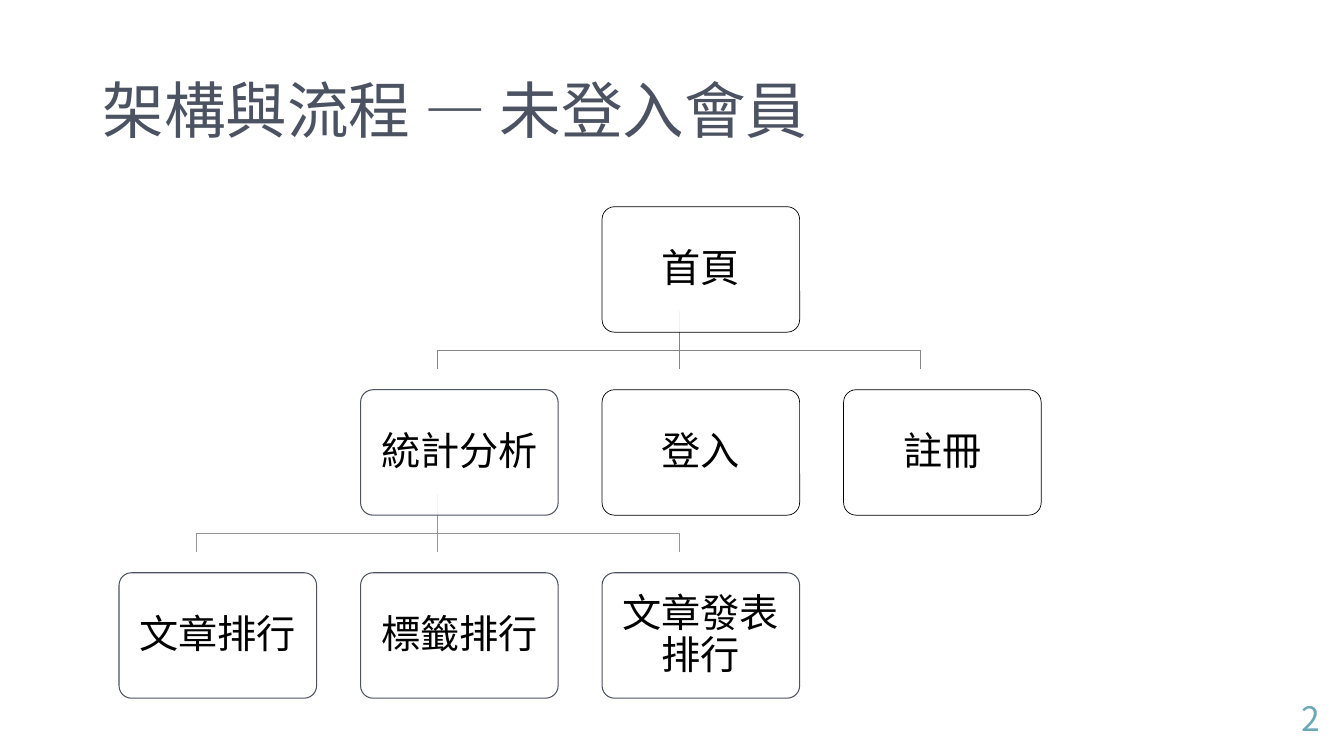
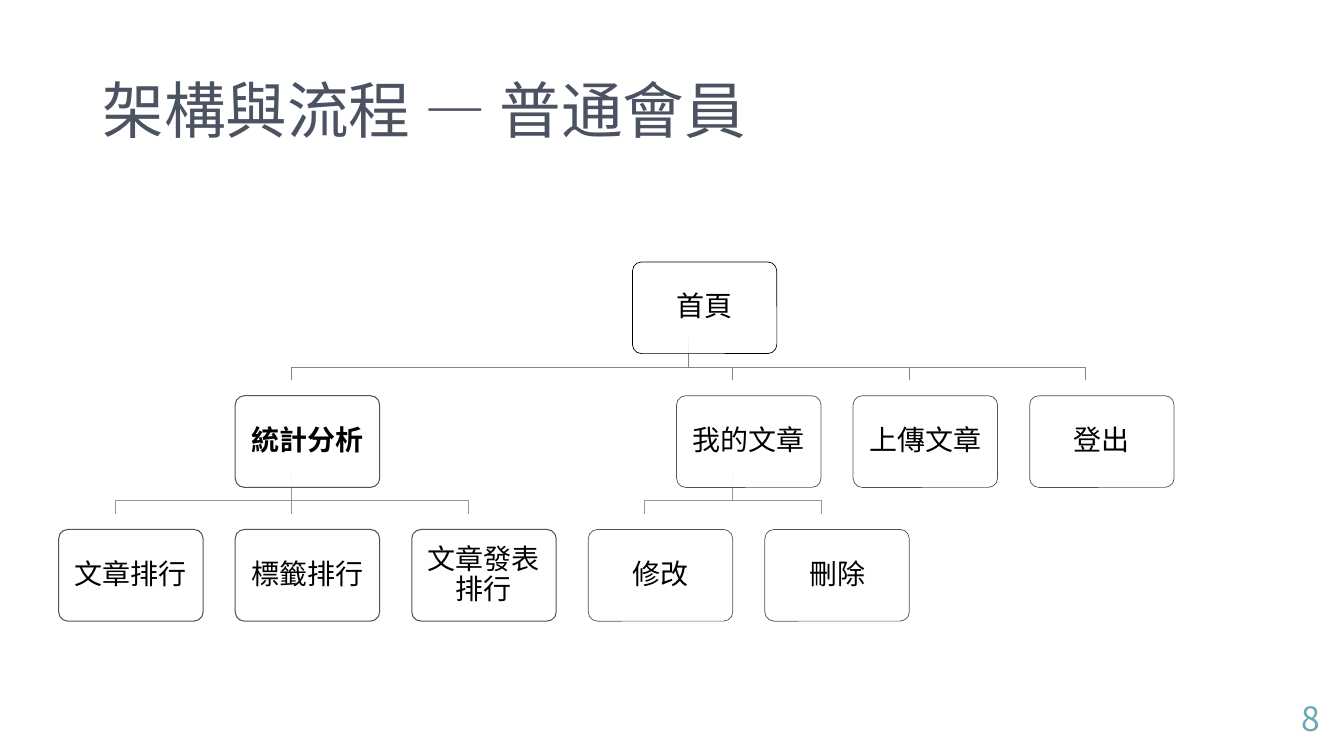
from lxml.etree import SubElement as Sub
from pptx import Presentation
from pptx.dml.color import RGBColor as RGB
from pptx.enum.shapes import MSO_CONNECTOR as Link, MSO_SHAPE as Shape
from pptx.enum.text import MSO_ANCHOR as Anchor, PP_ALIGN as Align
from pptx.oxml.ns import qn
from pptx.util import Cm, Pt

FONT = "Noto Sans CJK SC"
SLATE, TEAL, BLACK, WHITE = "4B5261", "6AA9B5", "000000", "FFFFFF"
WIRES = ["848484", "969696"]  # link colour below each row

# Box outlines: colour and width
MAIN = (BLACK, 0.5)
STAT = (SLATE, 0.75)
PAGE = (SLATE, 0.5)

# Each node: label, column or list of children, outline
RANKS = [("文章排行", 0, STAT), ("標籤排行", 1, STAT), ("文章發表排行", 2, STAT)]
STATS = ("統計分析", RANKS, STAT)
GUEST = ("首頁", [STATS, ("登入", 2, MAIN), ("註冊", 3, MAIN)], MAIN)
EDITS = [("修改", 3, PAGE), ("刪除", 4, PAGE)]
MEMBER = ("首頁", [STATS, ("我的文章", EDITS, PAGE), ("上傳文章", 4.5, PAGE),
                 ("登出", 5.5, PAGE)], MAIN)


def tint(code):
    return RGB.from_string(code)


def column(node):
    """A parent stands midway between its first and last child."""
    place = node[1]
    if isinstance(place, list):
        return (column(place[0]) + column(place[-1])) / 2
    return place


def kids(node):
    return node[1] if isinstance(node[1], list) else []


class Deck:
    def __init__(self):
        self.prs = Presentation()
        self.prs.slide_width, self.prs.slide_height = Cm(33.87), Cm(19.05)

    def label(self, frame, text, size, color, align, bold=False):
        frame.text = text
        frame.word_wrap = True
        frame.vertical_anchor = Anchor.MIDDLE
        para = frame.paragraphs[0]
        para.alignment = align
        para.line_spacing = 0.9
        run = para.runs[0]
        font = run.font
        font.size, font.bold, font.name = Pt(size), bold, FONT
        font.color.rgb = tint(color)
        # East Asian typeface
        Sub(font._element, qn("a:ea"), typeface=FONT)

    def page(self, title, number):
        self.slide = self.prs.slides.add_slide(self.prs.slide_layouts[5])
        self.shapes = self.slide.shapes
        head = self.shapes.title
        head.left, head.top = Cm(2.33), Cm(1.01)
        head.width, head.height = Cm(29.21), Cm(3.68)
        self.label(head.text_frame, title, 44, SLATE, Align.LEFT)
        foot = self.shapes.add_textbox(Cm(25.9), Cm(17.65), Cm(7.62), Cm(1.01))
        self.label(foot.text_frame, number, 24, TEAL, Align.RIGHT)

    def tree(self, root, left, top, width, size, bold=()):
        # All measures follow from the box width
        self.left, self.top, self.width = left, top, width
        self.high, self.size, self.bold = width * 0.635, size, bold
        self.wires(root, 0)
        self.boxes(root, 0)

    def spot(self, node, row):
        return (self.left + column(node) * self.width * 11 / 9,
                self.top + row * self.width * 0.926)

    def wires(self, node, row):
        shift = self.width / 9
        lift = self.width * 0.106
        x, y = self.spot(node, row)
        x += self.width / 2 - shift
        y += self.high - lift
        for kid in kids(node):
            self.wires(kid, row + 1)
            end, low = self.spot(kid, row + 1)
            end += self.width / 2 - shift
            self.wire(x, y, end, low - lift, WIRES[row])

    def wire(self, x, y, end, low, color):
        if abs(end - x) < 0.01:
            line = self.shapes.add_connector(
                Link.STRAIGHT, Cm(x), Cm(y), Cm(end), Cm(low))
            Sub(line.element.spPr, qn("a:effectLst"))
        else:
            bend = low - self.width * 0.0925
            pen = self.shapes.build_freeform(Cm(x), Cm(y))
            turns = [(x, bend), (end, bend), (end, low)]
            pen.add_line_segments([(Cm(a), Cm(b)) for a, b in turns], close=False)
            line = pen.convert_to_shape()
            line.fill.background()
            line.shadow.inherit = False
        line.line.color.rgb = tint(color)
        line.line.width = Pt(0.5)

    def boxes(self, node, row):
        x, y = self.spot(node, row)
        self.box(node[0], x, y, *node[2])
        for kid in kids(node):
            self.boxes(kid, row + 1)

    def box(self, text, x, y, color, weight):
        box = self.shapes.add_shape(
            Shape.ROUNDED_RECTANGLE, Cm(x), Cm(y), Cm(self.width), Cm(self.high))
        box.adjustments[0] = 0.1
        box.shadow.inherit = False
        box.fill.solid()
        box.fill.fore_color.rgb = tint(WHITE)
        fill = box.element.spPr.find(qn("a:solidFill"))
        Sub(fill[0], qn("a:alpha"), val="90000")
        box.line.color.rgb = tint(color)
        box.line.width = Pt(weight)
        frame = box.text_frame
        frame.margin_left = frame.margin_right = Cm(self.width * 0.06)
        frame.margin_top = frame.margin_bottom = Cm(self.width * 0.06)
        self.label(frame, text, self.size, BLACK, Align.CENTER, text in self.bold)


def main():
    deck = Deck()

    # Visitors who are not signed in
    deck.page("架構與流程 — 未登入會員", "2")
    deck.tree(GUEST, 3, 5.21, 4.98, 28)

    # Ordinary members
    deck.page("架構與流程 — 普通會員", "8")
    deck.tree(MEMBER, 1.48, 6.6, 3.64, 20, bold=["統計分析"])

    deck.prs.save("out.pptx")


if __name__ == "__main__":
    main()
